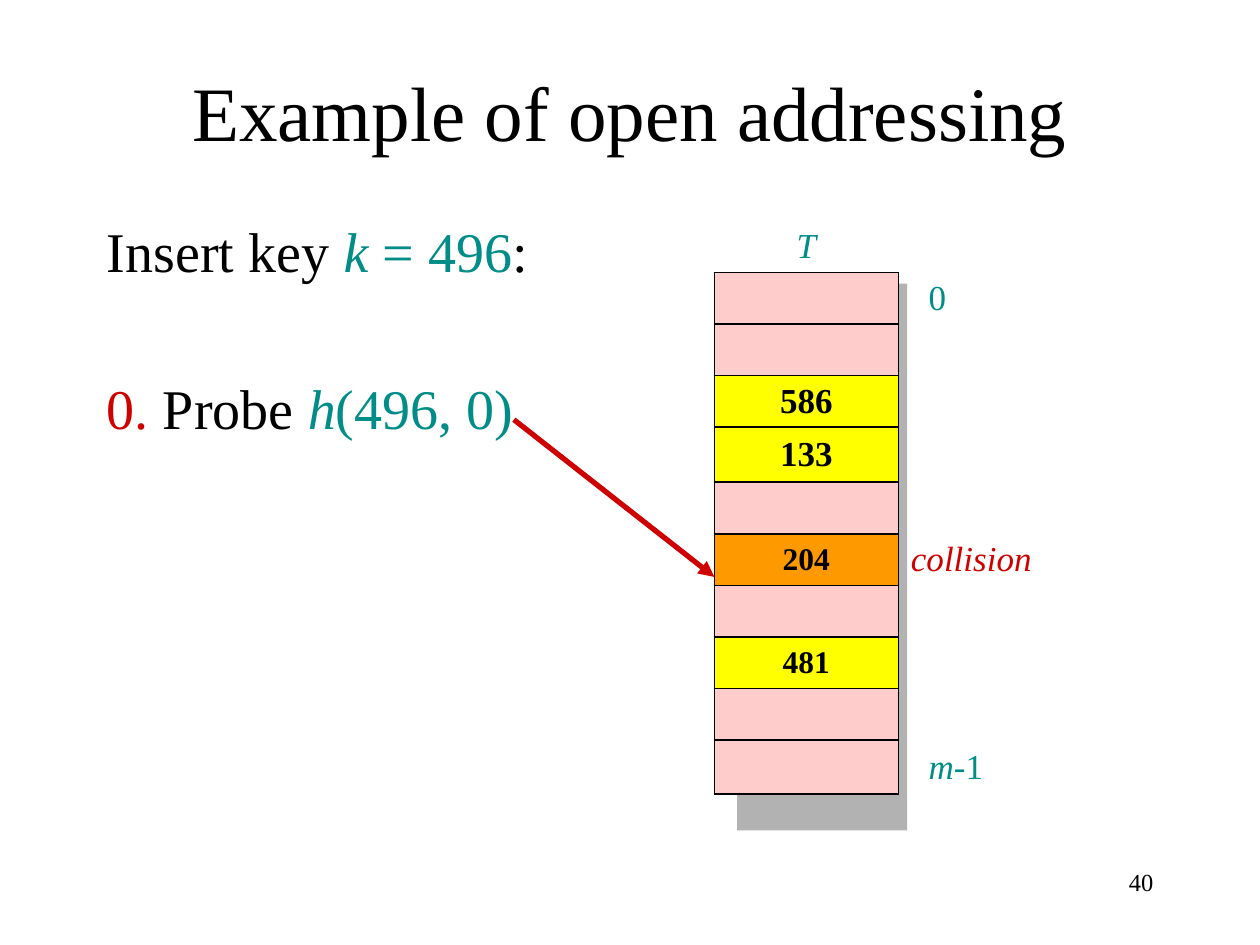
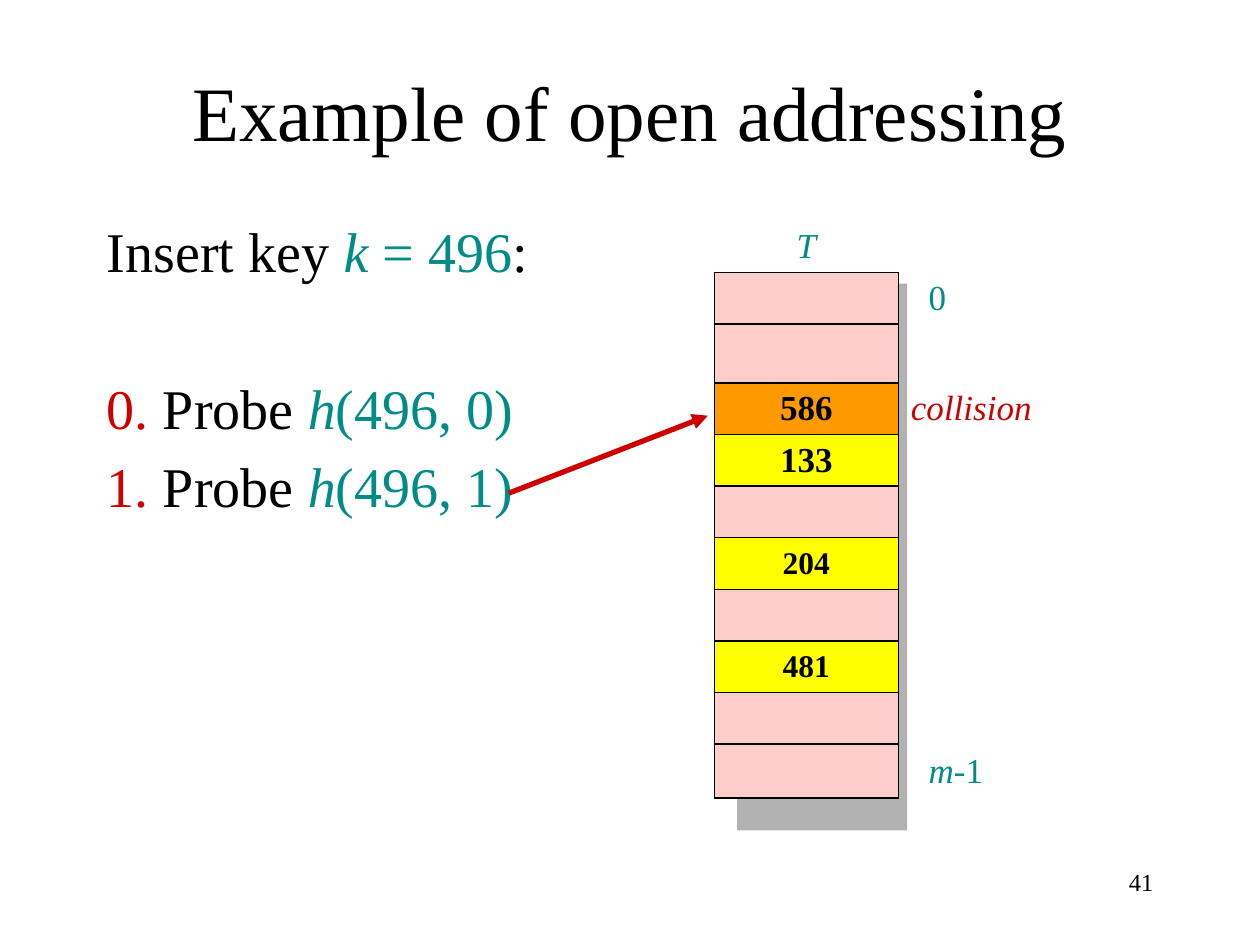
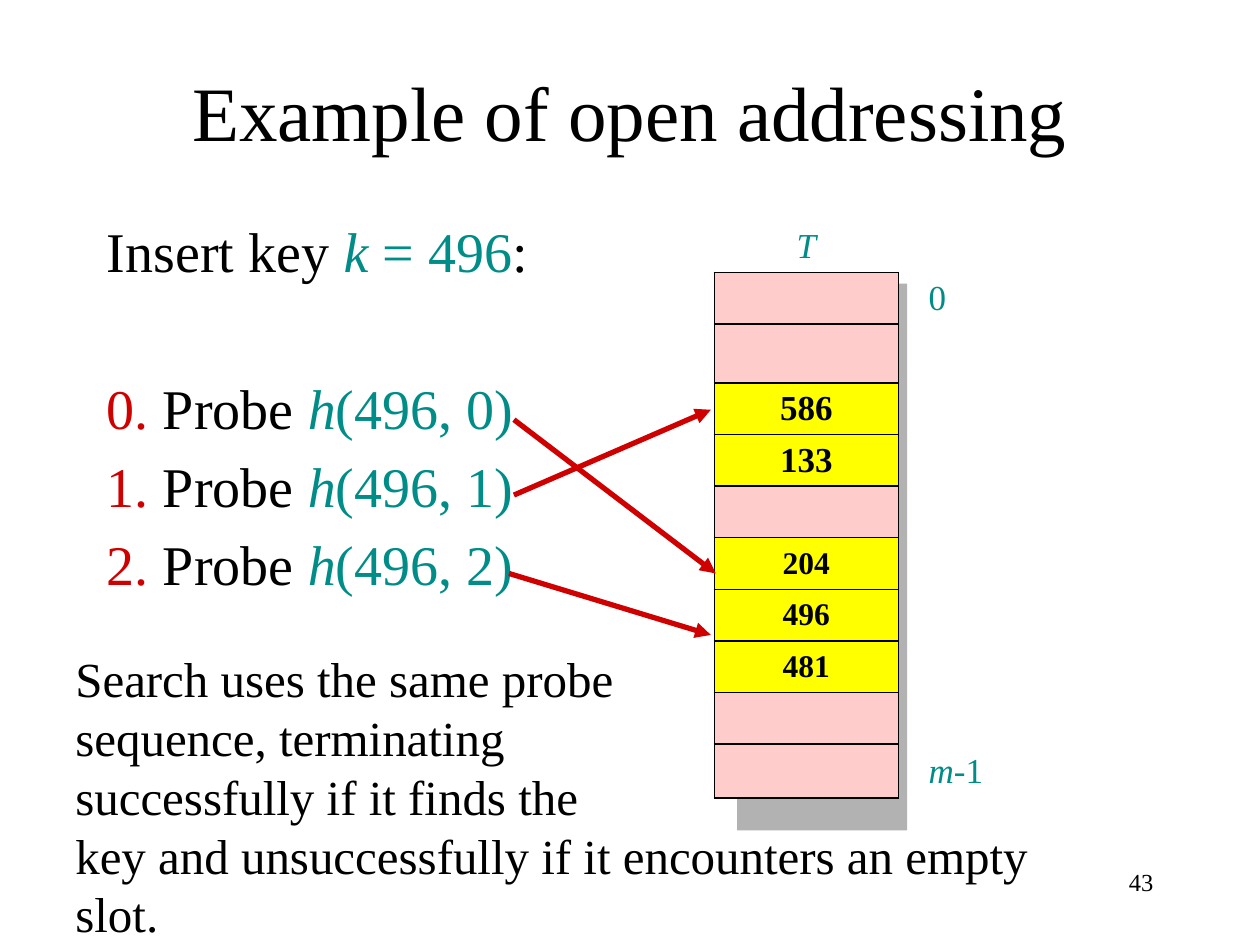
from lxml import etree
from pptx import Presentation
from pptx import util as u
from pptx.dml import color
from pptx.enum import shapes, text
from pptx.oxml import ns

COLORS = {"ink": "000000", "teal": "008C87", "red": "CE0000", "shadow": "B2B2B2",
          "empty": "FFCCCC", "filled": "FFFF00", "hit": "FF9900"}
FONT = "Times New Roman"
NO_STYLE = "{2D5ABB26-0587-4C30-8999-92F81FD0307C}"
ROWS = 11
ROW_HEIGHT = 1.04
LAST_ROW_HEIGHT = 1.09
COLUMN_WIDTH = 3.71
INDEX_INDENT = 0.61

# What changes from slide to slide; row 0 of the table holds its name
STEPS = [
    {"number": "40", "probes": 1, "tall_row": (4, 1.11), "hit": 5 + 1,
     "keys": {3: "586", 4: "133", 6: "204", 8: "481"},
     "arrows": [(10.36, 8.46, 14.4, 11.63)], "note": []},
    {"number": "41", "probes": 2, "tall_row": (2, 1.19), "hit": 3,
     "keys": {3: "586", 4: "133", 6: "204", 8: "481"},
     "arrows": [(10.26, 9.94, 14.27, 8.38)], "note": []},
    {"number": "43", "probes": 3, "tall_row": (2, 1.19), "hit": None,
     "keys": {3: "586", 4: "133", 6: "204", 7: "496", 8: "481"},
     "arrows": [(10.26, 11.56, 14.33, 12.8), (10.36, 8.46, 14.43, 11.56),
                (10.36, 9.98, 14.33, 8.26)],
     "note": ["Search uses the same probe", "sequence, terminating",
              "successfully if it finds the",
              "key and unsuccessfully if it encounters an empty slot."]},
]


def add_runs(para, size, *runs):
    """Add (words, colour, style) runs; style may hold i and b."""
    for words, ink, style in runs:
        span = para.add_run()
        span.text = words
        span.font.name = FONT
        span.font.size = u.Pt(size)
        span.font.color.rgb = color.RGBColor.from_string(COLORS[ink])
        span.font.italic = "i" in style
        span.font.bold = "b" in style


def add_borders(cell, sides):
    """Draw a 1 pt line on the named sides (L, R, T, B) and none elsewhere."""
    properties = cell._tc.get_or_add_tcPr()
    for side in "LRTB":
        line = etree.SubElement(properties, ns.qn(f"a:ln{side}"), w=str(u.Pt(1)))
        if side in sides:
            solid = etree.SubElement(line, ns.qn("a:solidFill"))
            etree.SubElement(solid, ns.qn("a:srgbClr"), val=COLORS["ink"])
        else:
            etree.SubElement(line, ns.qn("a:noFill"))


deck = Presentation()
deck.slide_width, deck.slide_height = u.Cm(25.4), u.Cm(19.05)

for step in STEPS:
    page = deck.slides.add_slide(deck.slide_layouts[1])
    title, body = page.placeholders

    # Title
    title.left, title.top, title.width, title.height = map(u.Cm, (1.9, 0.64, 21.6, 3.17))
    title.text_frame.vertical_anchor = text.MSO_ANCHOR.MIDDLE
    para = title.text_frame.paragraphs[0]
    para.alignment = text.PP_ALIGN.CENTER
    add_runs(para, 44, ("Example of open addressing", "ink", ""))

    # Probe list
    body.left, body.top, body.width, body.height = map(u.Cm, (1.9, 4.23, 21.6, 12.7))
    frame = body.text_frame
    frame.auto_size = text.MSO_AUTO_SIZE.NONE
    add_runs(frame.paragraphs[0], 32, ("Insert key ", "ink", ""), ("k", "teal", "i"),
             (" = 496", "teal", ""), (":", "ink", ""))
    for probe in range(step["probes"]):
        add_runs(frame.add_paragraph(), 32, (f"{probe}.", "red", ""), (" Probe ", "ink", ""),
                 ("h", "teal", "i"), (f"(496, {probe})", "teal", ""))
    for order, para in enumerate(frame.paragraphs):
        para.space_before = u.Pt((0, 51.4)[order] if order < 2 else 6.3)
        properties = para._p.get_or_add_pPr()
        properties.set("marL", "0")
        properties.set("indent", "0")
        etree.SubElement(properties, ns.qn("a:buNone"))

    # Shadow behind the hash table
    shadow = page.shapes.add_shape(shapes.MSO_SHAPE.RECTANGLE, u.Cm(14.86), u.Cm(5.72),
                                   u.Cm(3.43), u.Cm(11.02))
    shadow.shadow.inherit = False
    shadow.fill.solid()
    shadow.fill.fore_color.rgb = color.RGBColor.from_string(COLORS["shadow"])
    shadow.line.fill.background()

    # Hash table: slots on the left, remarks on the right
    holder = page.shapes.add_table(ROWS, 2, u.Cm(14.4), u.Cm(4.45),
                                   u.Cm(2 * COLUMN_WIDTH), u.Cm(ROWS * ROW_HEIGHT))
    table = holder.table
    table.first_row = table.horz_banding = False
    table._tbl.tblPr.find(ns.qn("a:tableStyleId")).text = NO_STYLE
    for column in table.columns:
        column.width = u.Cm(COLUMN_WIDTH)
    for row in table.rows:
        row.height = u.Cm(ROW_HEIGHT)
    table.rows[ROWS - 1].height = u.Cm(LAST_ROW_HEIGHT)
    tall, height = step["tall_row"]
    table.rows[tall].height = u.Cm(height)

    for index in range(ROWS):
        slot, remark = table.cell(index, 0), table.cell(index, 1)
        for cell in (slot, remark):
            cell.margin_top = cell.margin_bottom = u.Cm(0.08)
            cell.vertical_anchor = text.MSO_ANCHOR.MIDDLE
        add_borders(slot, "LRTB" if index else "B")
        add_borders(remark, "L" if index else "")
        remark.fill.background()
        label = slot.text_frame.paragraphs[0]
        label.alignment = text.PP_ALIGN.CENTER
        if index == 0:
            slot.fill.background()
            add_runs(label, 20, ("T", "teal", "i"))
            continue
        state = "hit" if index == step["hit"] else "filled" if index in step["keys"] else "empty"
        slot.fill.solid()
        slot.fill.fore_color.rgb = color.RGBColor.from_string(COLORS[state])
        if index in step["keys"]:
            add_runs(label, 20 if index < 5 else 18, (step["keys"][index], "ink", "b"))

        para = remark.text_frame.paragraphs[0]
        if index in (1, ROWS - 1):
            remark.margin_left = u.Cm(INDEX_INDENT)
        if index == 1:
            add_runs(para, 20, ("0", "teal", ""))
        elif index == ROWS - 1:
            add_runs(para, 20, ("m", "teal", "i"), ("-1", "teal", ""))
        elif state == "hit":
            add_runs(para, 20, ("collision", "red", "i"))

    # Arrows from the probes to their slots
    for ends in step["arrows"]:
        arrow = page.shapes.add_connector(shapes.MSO_CONNECTOR.STRAIGHT, *map(u.Cm, ends))
        arrow.line.width = u.Pt(3)
        arrow.line.color.rgb = color.RGBColor.from_string(COLORS["red"])
        etree.SubElement(arrow.line._get_or_add_ln(), ns.qn("a:tailEnd"), type="triangle")
        etree.SubElement(arrow._element.spPr, ns.qn("a:effectLst"))

    # Closing note
    if step["note"]:
        box = page.shapes.add_textbox(u.Cm(1.27), u.Cm(12.95), u.Cm(21.6), u.Cm(5))
        box.text_frame.word_wrap = True
        for order, words in enumerate(step["note"]):
            para = box.text_frame.add_paragraph() if order else box.text_frame.paragraphs[0]
            add_runs(para, 28, (words, "ink", ""))

    # Page number
    box = page.shapes.add_textbox(u.Cm(18.2), u.Cm(17.35), u.Cm(5.3), u.Cm(1.27))
    box.text_frame.word_wrap = True
    para = box.text_frame.paragraphs[0]
    para.alignment = text.PP_ALIGN.RIGHT
    add_runs(para, 14, (step["number"], "ink", ""))

deck.save("out.pptx")
